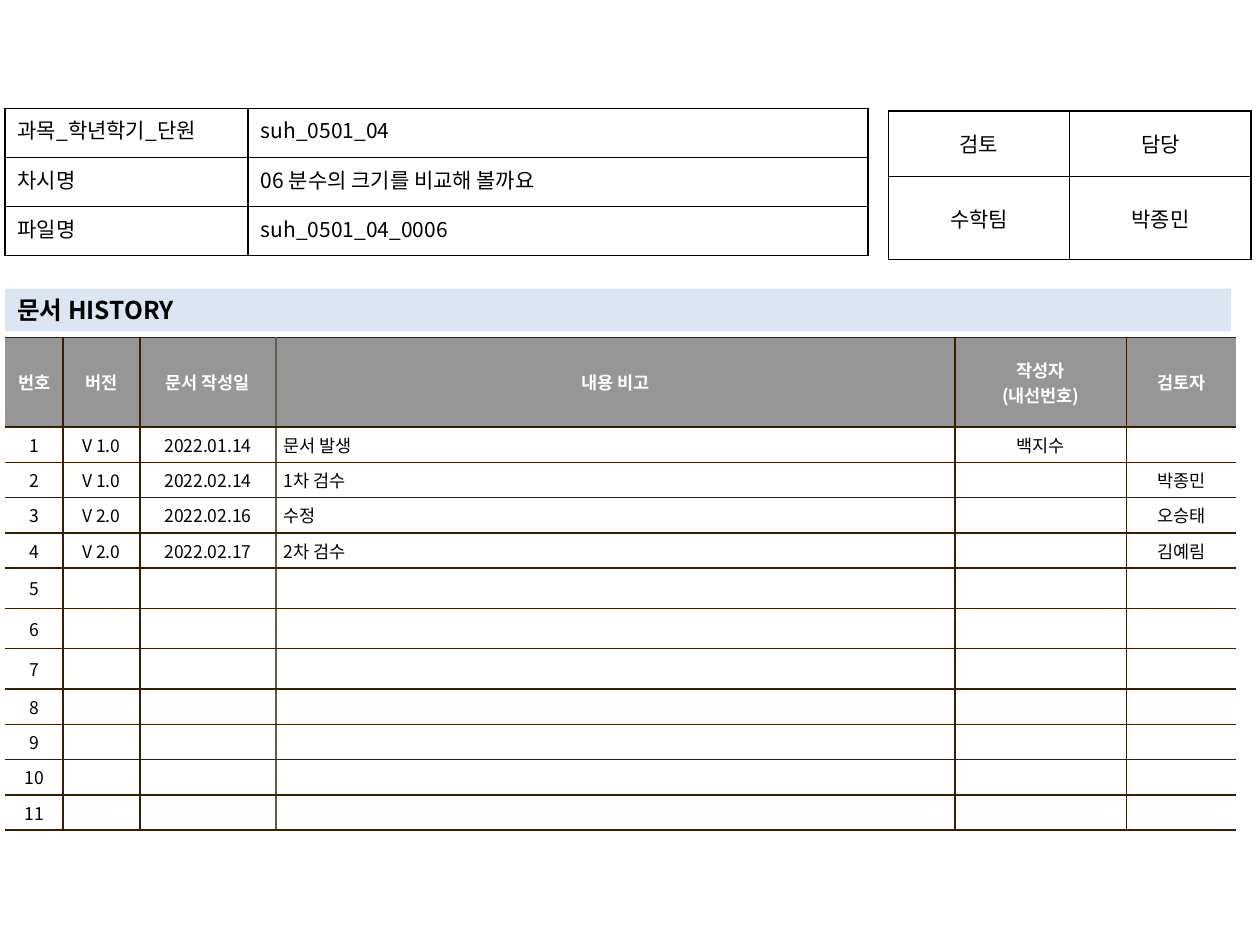
import dataclasses

import pptx
import pptx.dml.color
import pptx.enum.shapes
import pptx.enum.text
import pptx.oxml
import pptx.oxml.ns
import pptx.util

Inches = pptx.util.Inches
ALIGN = pptx.enum.text.PP_ALIGN
ANCHOR = pptx.enum.text.MSO_ANCHOR


@dataclasses.dataclass(frozen=True)
class Theme:
    font: str = "Noto Sans CJK KR"
    black: str = "000000"
    white: str = "FFFFFF"
    header: str = "969696"
    band: str = "DCE6F2"
    grid: str = "362000"
    divider: str = "645B4C"
    small: int = 10
    medium: int = 12
    title: int = 14


class SlideBuilder:
    def __init__(self, s, theme):
        self.s = s
        self.theme = theme

    def rgb(self, color):
        return pptx.dml.color.RGBColor.from_string(color)

    def style_font(self, font, size, color, bold):
        font.size = pptx.util.Pt(size)
        font.bold = bold
        font.color.rgb = self.rgb(color)
        font.name = self.theme.font

    def add_text(self, tf, text, size, color=None, bold=False, align=ALIGN.LEFT, hanging=0):
        """Add one paragraph per line of text."""
        color = color or self.theme.black
        for i, line in enumerate(text.split("\n")):
            p = tf.paragraphs[0] if i == 0 else tf.add_paragraph()
            p.alignment = align
            if hanging:
                pPr = p._p.get_or_add_pPr()
                pPr.set("marL", str(Inches(hanging)))
                pPr.set("indent", str(-Inches(hanging)))
            if not line:  # keeps an empty cell from stretching its row
                end = p._p.get_or_add_endParaRPr()
                end.set("sz", str(size * 100))
                continue
            r = p.add_run()
            r.text = line
            self.style_font(r.font, size, color, bold)
            ea = pptx.oxml.parse_xml(
                f'<a:ea {pptx.oxml.ns.nsdecls("a")} typeface="{self.theme.font}"/>')
            r.font._rPr.append(ea)

    def borders(self, cell, left, right, top, bottom):
        """Draw the four cell edges; None leaves an edge open."""
        tcPr = cell._tc.get_or_add_tcPr()
        edges = {"L": left, "R": right, "T": top, "B": bottom}
        for i, (side, color) in enumerate(edges.items()):
            paint = (f'<a:solidFill><a:srgbClr val="{color}"/></a:solidFill>'
                     if color else "<a:noFill/>")
            tcPr.insert(i, pptx.oxml.parse_xml(
                f'<a:ln{side} {pptx.oxml.ns.nsdecls("a")} w="12700">{paint}</a:ln{side}>'))

    def table(self, left, top, cols, rows):
        frame = self.s.shapes.add_table(
            len(rows), len(cols), Inches(left), Inches(top),
            Inches(sum(cols)), Inches(sum(rows)))
        table = frame.table
        table.first_row = table.horz_banding = False
        for column, width in zip(table.columns, cols):
            column.width = Inches(width)
        for row, height in zip(table.rows, rows):
            row.height = Inches(height)
        return table

    def margins(self, cell, x, y):
        cell.margin_left = cell.margin_right = Inches(x)
        cell.margin_top = cell.margin_bottom = Inches(y)

    def info_table(self, left, top, cols, rows, texts, aligns, anchor):
        """Unfilled table with a black grid."""
        t = self.theme
        table = self.table(left, top, cols, rows)
        for r, line in enumerate(texts):
            for c, text in enumerate(line):
                cell = table.cell(r, c)
                self.margins(cell, 0.1, 0.05)
                cell.vertical_anchor = anchor
                cell.fill.background()
                self.borders(cell, *[t.black] * 4)
                self.add_text(cell.text_frame, text, t.medium, align=aligns[c])

    def history_table(self, left, top, cols, rows, texts, note_col):
        """Table with a grey header row and open left and right sides."""
        t = self.theme
        table = self.table(left, top, cols, rows)
        edges = [None] + [t.grid] * (len(cols) - 1) + [None]
        edges[note_col] = t.divider
        for r, line in enumerate(texts):
            head = r == 0
            for c, text in enumerate(line):
                cell = table.cell(r, c)
                note = c == note_col and not head
                self.margins(cell, 0.06, 0.04)
                cell.vertical_anchor = ANCHOR.MIDDLE
                cell.fill.solid()
                cell.fill.fore_color.rgb = self.rgb(t.header if head else t.white)
                self.borders(cell, edges[c], edges[c + 1], t.grid, t.grid)
                self.add_text(cell.text_frame, text, t.small,
                              t.white if head else t.black, head,
                              ALIGN.LEFT if note else ALIGN.CENTER,
                              0.19 if note else 0)

    def title_band(self, left, top, width, height, text):
        t = self.theme
        sp = self.s.shapes.add_shape(
            pptx.enum.shapes.MSO_SHAPE.RECTANGLE,
            Inches(left), Inches(top), Inches(width), Inches(height))
        sp.shadow.inherit = False
        sp.fill.solid()
        sp.fill.fore_color.rgb = self.rgb(t.band)
        sp.line.fill.background()
        tf = sp.text_frame
        tf.word_wrap = True
        tf.vertical_anchor = ANCHOR.MIDDLE
        self.add_text(tf, text, t.title, bold=True)


def main():
    prs = pptx.Presentation()
    prs.slide_width, prs.slide_height = Inches(10), Inches(7.5)
    s = prs.slides.add_slide(prs.slide_layouts[6])
    b = SlideBuilder(s, Theme())

    # Revision history
    header = ["번호", "버전", "문서 작성일", "내용 비고", "작성자\n(내선번호)", "검토자"]
    entries = [
        ["V 1.0", "2022.01.14", "문서 발생", "백지수", ""],
        ["V 1.0", "2022.02.14", "1차 검수", "", "박종민"],
        ["V 2.0", "2022.02.16", "수정", "", "오승태"],
        ["V 2.0", "2022.02.17", "2차 검수", "", "김예림"],
    ]
    entries += [[""] * 5] * 7
    numbered = [[str(n), *entry] for n, entry in enumerate(entries, 1)]
    b.history_table(0.04, 2.68, [0.46, 0.61, 1.08, 5.39, 1.36, 0.87],
                    [0.71] + [0.28] * 4 + [0.32] * 3 + [0.28] * 4,
                    [header] + numbered, note_col=3)

    # Reviewers
    b.info_table(7.05, 0.88, [1.44] * 2, [0.52, 0.66],
                 [["검토", "담당"], ["수학팀", "박종민"]],
                 [ALIGN.CENTER] * 2, ANCHOR.MIDDLE)

    # Section title
    b.title_band(0.04, 2.29, 9.73, 0.34, "문서 HISTORY")

    # Document details
    b.info_table(0.04, 0.86, [1.93, 4.92], [0.39] * 3,
                 [["과목_학년학기_단원", "suh_0501_04"],
                  ["차시명", "06 분수의 크기를 비교해 볼까요"],
                  ["파일명", "suh_0501_04_0006"]],
                 [ALIGN.JUSTIFY, ALIGN.LEFT], ANCHOR.TOP)

    prs.save("out.pptx")


if __name__ == "__main__":
    main()
